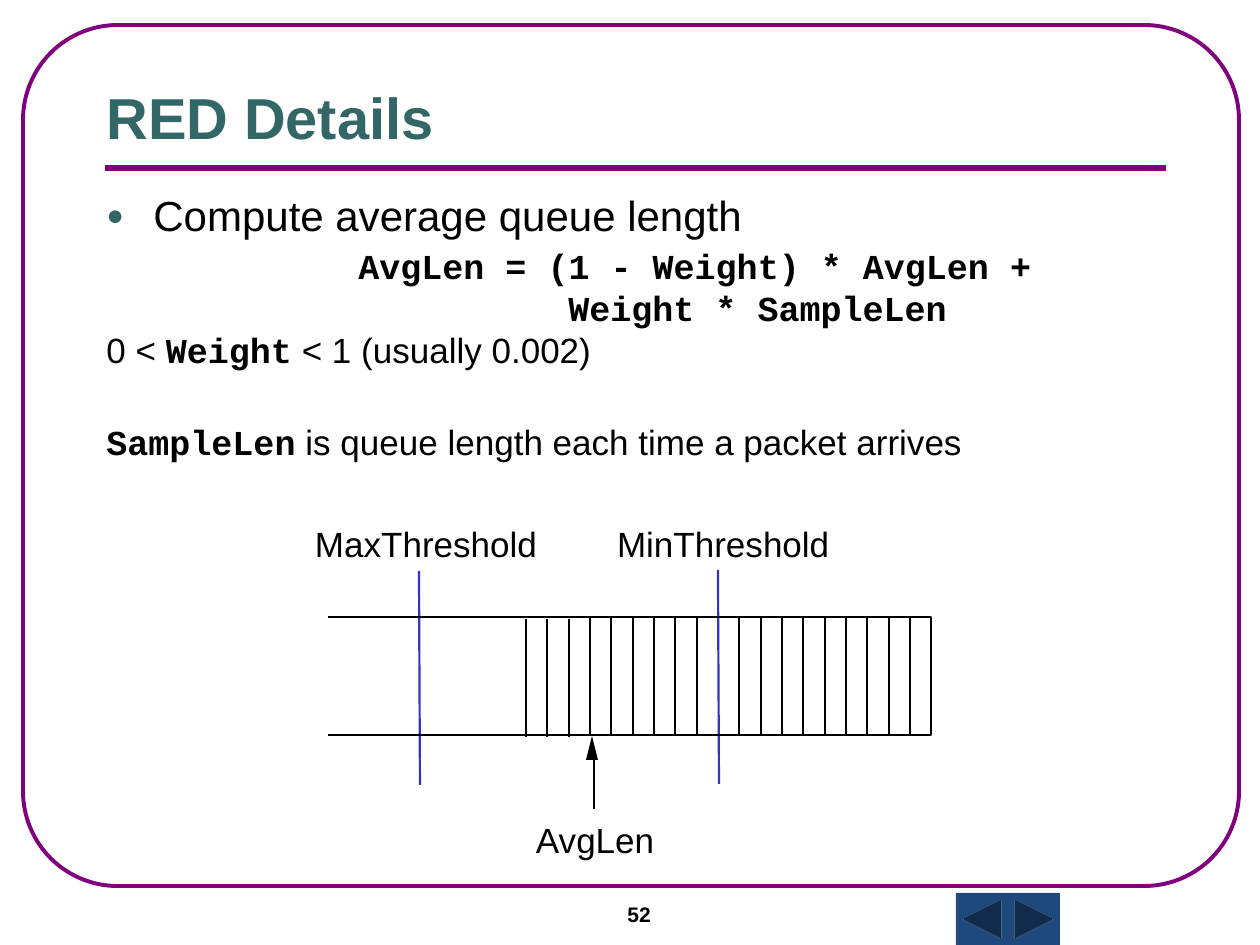
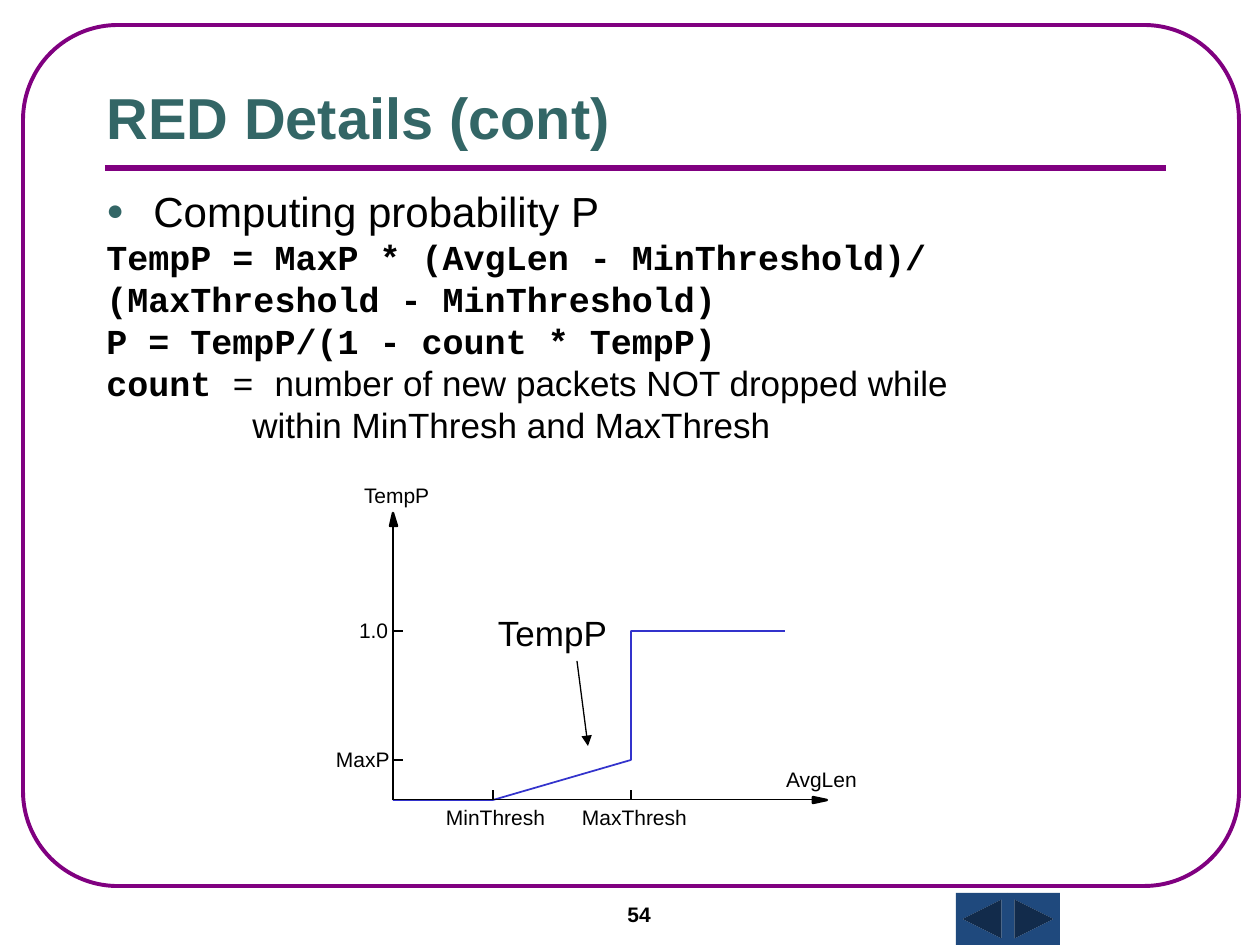
"""Build two slides on Random Early Detection: queue thresholds and drop probability."""
from dataclasses import dataclass
from typing import Any, NamedTuple

import pptx
import pptx.dml.color
import pptx.enum.shapes
import pptx.enum.text
import pptx.oxml.ns
import pptx.util
from lxml import etree

PX = 914400 / 126
BLACK, BLUE, PURPLE, TEAL, NAVY = "000000", "3333CC", "800080", "336666", "1F497D"
SANS, MONO = "Arial", "Courier New"
SHAPES = pptx.enum.shapes.MSO_SHAPE
ANCHORS = pptx.enum.text.MSO_ANCHOR

Point = tuple[int, int]


class Box(NamedTuple):
    left: int
    top: int
    width: int
    height: int


@dataclass(frozen=True)
class Piece:
    text: str
    font: str = SANS
    size: int = 20
    bold: bool = False
    color: str = BLACK


@dataclass(frozen=True)
class Para:
    pieces: tuple[Piece, ...]
    indent: int = 0
    before: int = 0
    spacing: float = 1.0
    bullet: bool = False


@dataclass(frozen=True)
class Label:
    text: str
    box: Box
    size: int = 12


@dataclass(frozen=True)
class Line:
    start: Point
    end: Point
    color: str = BLACK
    width: float = 1.25
    arrow: bool = False


@dataclass(frozen=True)
class Outline:
    points: tuple[Point, ...]
    line: str | None = None
    width: float = 1.25
    fill: str | None = None


def emu(px: float) -> int:
    return round(px * PX)


def rgb(color: str) -> pptx.dml.color.RGBColor:
    return pptx.dml.color.RGBColor.from_string(color)


def assign(target: Any, values: dict[str, Any]) -> None:
    for name, value in values.items():
        setattr(target, name, value)


def sub(parent: Any, tag: str, **attributes: str) -> Any:
    element = etree.SubElement(parent, pptx.oxml.ns.qn(tag))
    for name, value in attributes.items():
        element.set(name, value)
    return element


def paint(shape: Any, fill: str | None, line: str | None, width: float) -> None:
    shape.shadow.inherit = False
    if fill:
        shape.fill.solid()
        shape.fill.fore_color.rgb = rgb(fill)
    else:
        shape.fill.background()
    if line:
        shape.line.color.rgb = rgb(line)
        shape.line.width = pptx.util.Pt(width)
    else:
        shape.line.fill.background()


def draw_preset(slide: Any, preset: Any, box: Box, fill: str | None = None,
                line: str | None = None, width: float = 1) -> Any:
    shape = slide.shapes.add_shape(preset, *map(emu, box))
    paint(shape, fill, line, width)
    return shape


def draw_outline(slide: Any, outline: Outline) -> None:
    builder = slide.shapes.build_freeform(*outline.points[0], scale=PX)
    builder.add_line_segments(outline.points[1:], close=outline.fill is not None)
    paint(builder.convert_to_shape(), outline.fill, outline.line, outline.width)


def draw_line(slide: Any, line: Line) -> None:
    connector = slide.shapes.add_connector(
        pptx.enum.shapes.MSO_CONNECTOR.STRAIGHT, *map(emu, line.start + line.end))
    connector.line.color.rgb = rgb(line.color)
    connector.line.width = pptx.util.Pt(line.width)
    if line.arrow:
        sub(connector.line._get_or_add_ln(), "a:tailEnd", type="triangle")
    sub(connector._element.spPr, "a:effectLst")


def draw_text(slide: Any, box: Box, paras: tuple[Para, ...],
              **frame_format: Any) -> None:
    frame = slide.shapes.add_textbox(*map(emu, box)).text_frame
    assign(frame, {"word_wrap": True} | frame_format)
    for number, para in enumerate(paras):
        paragraph = frame.paragraphs[0] if number == 0 else frame.add_paragraph()
        properties = paragraph._p.get_or_add_pPr()
        properties.set("marL", str(emu(para.indent)))
        assign(paragraph, {"line_spacing": para.spacing,
                           "space_before": pptx.util.Pt(para.before)})
        if para.bullet:
            properties.set("indent", str(-emu(para.indent)))
            sub(sub(properties, "a:buClr"), "a:srgbClr", val=TEAL)
            sub(properties, "a:buSzPct", val="70000")
            sub(properties, "a:buFont", typeface=SANS)
            sub(properties, "a:buChar", char="●")
        for piece in para.pieces:
            run = paragraph.add_run()
            run.text = piece.text
            assign(run.font, {"name": piece.font, "bold": piece.bold,
                              "size": pptx.util.Pt(piece.size)})
            run.font.color.rgb = rgb(piece.color)


def draw_label(slide: Any, label: Label) -> None:
    draw_text(slide, label.box, (Para((Piece(label.text, size=label.size),)),),
              margin_left=0, margin_top=0, margin_right=0, margin_bottom=0)


def draw_parts(slide: Any, parts: list[Label | Line | Outline]) -> None:
    painters = {Label: draw_label, Line: draw_line, Outline: draw_outline}
    for part in parts:
        painters[type(part)](slide, part)


def start_slide(deck: Any, title: str, number: int, spacing: float = 1.0) -> Any:
    slide = deck.slides.add_slide(deck.slide_layouts[6])
    frame = draw_preset(slide, SHAPES.ROUNDED_RECTANGLE, Box(23, 25, 1216, 861),
                        line=PURPLE, width=2.25)
    frame.adjustments[0] = 0.11
    draw_line(slide, Line((105, 168), (1166, 168), PURPLE, 3))
    buttons = (SHAPES.ACTION_BUTTON_BACK_OR_PREVIOUS,
               SHAPES.ACTION_BUTTON_FORWARD_OR_NEXT)
    for place, button in enumerate(buttons):
        draw_preset(slide, button, Box(956 + 52 * place, 893, 52, 52), fill=NAVY)
    draw_text(slide, Box(615, 895, 147, 42),
              (Para((Piece(str(number), size=12, bold=True),)),))
    draw_text(slide, Box(94, 0, 1071, 157),
              (Para((Piece(title, size=33, bold=True, color=TEAL),), spacing=spacing),),
              vertical_anchor=ANCHORS.BOTTOM)
    return slide


def code(text: str) -> Piece:
    return Piece(text, MONO, bold=True)


def topic(text: str, spacing: float = 1.0) -> Para:
    return Para((Piece(text, size=24),), indent=47, spacing=spacing, bullet=True)


def build_queue_slide(deck: Any) -> None:
    slide = start_slide(deck, "RED Details", 52, spacing=0.8)
    draw_text(slide, Box(94, 189, 1071, 567), (
        topic("Compute average queue length", 0.9),
        Para((code("AvgLen = (1 - Weight) * AvgLen +"),), indent=252, before=2),
        Para((code("Weight * SampleLen"),), indent=462),
        Para((Piece("0 < "), code("Weight"), Piece(" < 1 (usually 0.002)"))),
        Para((code("SampleLen"), Piece(" is queue length each time a packet arrives")),
             before=29),
    ))
    top, bottom, min_slot, late_slots = 617, 735, 9, 3
    slots = []
    for slot in range(19):
        if slot != min_slot:
            x = round(526 + slot * 64 / 3)
            drop = 2 if slot < late_slots else 0
            slots.append(Line((x, top + drop), (x, bottom + drop)))
    draw_parts(slide, [
        Line((718, 570), (719, 784), BLUE),
        Line((419, 571), (420, 785), BLUE),
        Label("MaxThreshold", Box(315, 522, 240, 42), 20),
        Label("MinThreshold", Box(617, 522, 230, 42), 20),
        Label("AvgLen", Box(536, 818, 135, 42), 20),
        Outline(((328, top), (931, top), (931, bottom), (328, bottom)), BLACK),
        *slots,
        Line((594, 809), (594, 750)),
        Outline(((598, 760), (592, 736), (586, 760)), fill=BLACK),
    ])


def build_probability_slide(deck: Any) -> None:
    slide = start_slide(deck, "RED Details (cont)", 54)
    draw_text(slide, Box(94, 179, 1071, 567), (
        topic("Computing probability P"),
        Para((code("TempP = MaxP * (AvgLen - MinThreshold)/"),)),
        Para((code("(MaxThreshold - MinThreshold)"),)),
        Para((code("P = TempP/(1 - count * TempP)"),)),
        Para((code("count "), Piece("= ", MONO),
              Piece("number of new packets NOT dropped while"))),
        Para((Piece("within MinThresh and MaxThresh"),), indent=146),
    ))
    origin_x, origin_y, tick = 393, 800, 10
    min_x, max_x, max_p_y, one_y = 493, 631, 760, 631
    draw_parts(slide, [
        Outline(((origin_x, origin_y), (min_x, origin_y), (max_x, max_p_y),
                 (max_x, one_y), (785, one_y)), BLUE, 1),
        Line((origin_x, origin_y), (origin_x, 523), width=0.62),
        Line((origin_x, origin_y), (815, origin_y), width=0.62),
        Outline(((397, 526), (393, 513), (390, 526)), BLACK, 1.39, BLACK),
        Outline(((813, 803), (827, 800), (813, 797)), BLACK, 1.39, BLACK),
        *(Line((x, origin_y), (x, origin_y - tick), width=0.62)
          for x in (min_x, max_x)),
        *(Line((origin_x, y), (origin_x + tick, y), width=0.62)
          for y in (one_y, max_p_y)),
        Label("TempP", Box(364, 483, 80, 25)),
        Label("1.0", Box(359, 618, 34, 25)),
        Label("MaxP", Box(336, 747, 57, 25)),
        Label("MinThresh", Box(446, 805, 115, 25)),
        Label("MaxThresh", Box(582, 805, 120, 25)),
        Label("AvgLen", Box(786, 767, 85, 25)),
        Line((577, 661), (588, 746), width=0.75, arrow=True),
        Label("TempP", Box(498, 611, 125, 41), 20),
    ])


def main() -> None:
    deck = pptx.Presentation()
    assign(deck, {"slide_width": emu(1260), "slide_height": emu(945)})
    build_queue_slide(deck)
    build_probability_slide(deck)
    deck.save("out.pptx")


if __name__ == "__main__":
    main()
